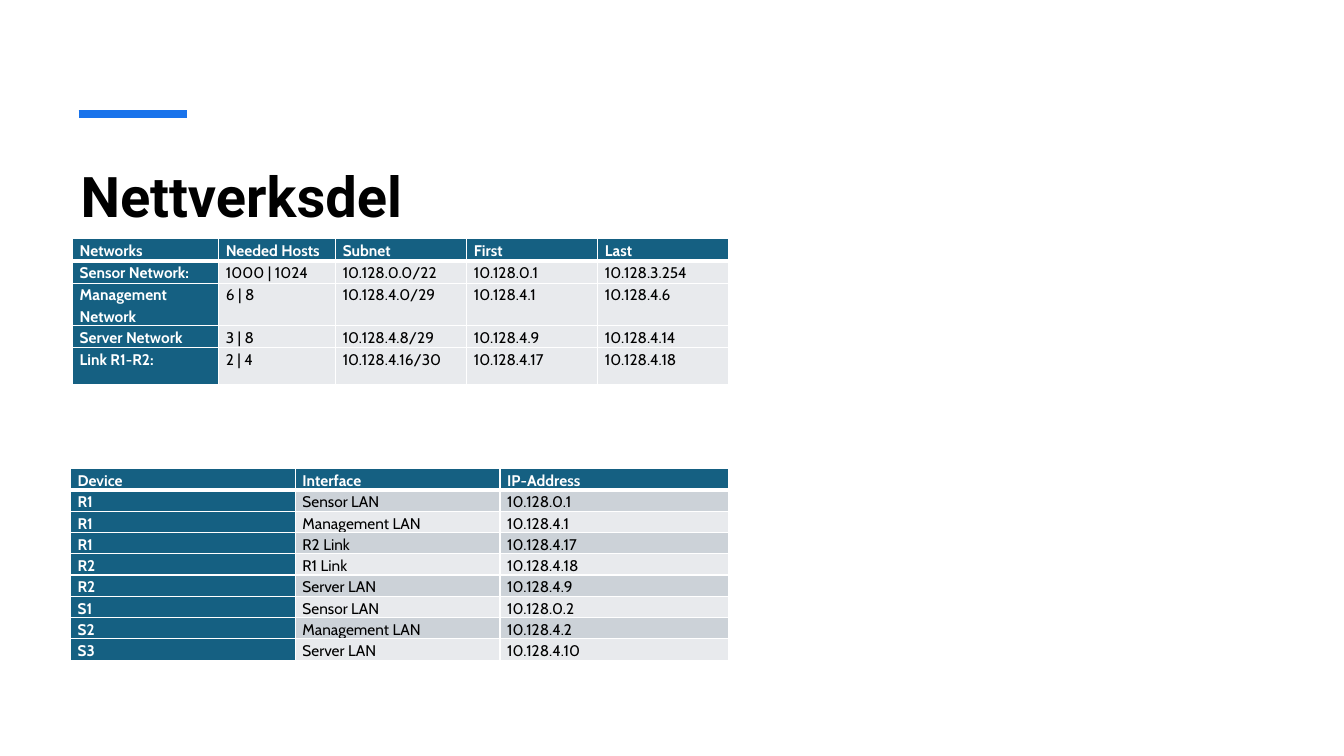
from lxml import etree
from pptx import Presentation
from pptx import util as u
from pptx.dml.color import RGBColor
from pptx.enum import shapes, text
from pptx.oxml.ns import qn

WHITE = RGBColor(0xFF, 0xFF, 0xFF)
BLACK = RGBColor(0x00, 0x00, 0x00)
ACCENT = RGBColor(0x19, 0x73, 0xEB)
TEAL = RGBColor(0x15, 0x60, 0x82)
LIGHT = RGBColor(0xE8, 0xEA, 0xED)
GREY = RGBColor(0xCC, 0xD2, 0xD8)

NETWORKS = [
    ("Networks", "Needed Hosts", "Subnet", "First", "Last"),
    ("Sensor Network:", "1000 | 1024", "10.128.0.0/22", "10.128.0.1", "10.128.3.254"),
    ("Management Network", "6 | 8", "10.128.4.0/29", "10.128.4.1", "10.128.4.6"),
    ("Server Network", "3 | 8", "10.128.4.8/29", "10.128.4.9", "10.128.4.14"),
    ("Link R1-R2:", "2 | 4", "10.128.4.16/30", "10.128.4.17", "10.128.4.18"),
]
DEVICES = [
    ("Device", "Interface", "IP-Address"),
    ("R1", "Sensor LAN", "10.128.0.1"),
    ("R1", "Management LAN", "10.128.4.1"),
    ("R1", "R2 Link", "10.128.4.17"),
    ("R2", "R1 Link", "10.128.4.18"),
    ("R2", "Server LAN", "10.128.4.9"),
    ("S1", "Sensor LAN", "10.128.0.2"),
    ("S2", "Management LAN", "10.128.4.2"),
    ("S3", "Server LAN", "10.128.4.10"),
]


def style_font(font, name, size, color, bold):
    font.name = name
    font.size = u.Pt(size)
    font.color.rgb = color
    font.bold = bold


def add_heading(page, left, top, width, height):
    bar_left, bar_top = left + 0.08, top - 0.37
    bar = page.shapes.add_connector(
        shapes.MSO_CONNECTOR.STRAIGHT,
        u.Inches(bar_left), u.Inches(bar_top),
        u.Inches(bar_left + 1.07), u.Inches(bar_top))
    bar.line.color.rgb = ACCENT
    bar.line.width = u.Pt(6)
    properties = bar.element.find(qn("p:spPr"))
    etree.SubElement(properties, qn("a:effectLst"))

    box = page.shapes.add_textbox(
        u.Inches(left), u.Inches(top), u.Inches(width), u.Inches(height))
    frame = box.text_frame
    frame.word_wrap = True
    frame.vertical_anchor = text.MSO_ANCHOR.TOP
    frame.margin_left = frame.margin_top = u.Inches(0.1)
    frame.text = "Nettverksdel"
    style_font(frame.paragraphs[0].runs[0].font, "Roboto", 40, BLACK, True)


def add_borders(cell, widths):
    properties = cell._tc.get_or_add_tcPr()
    for index, (side, points) in enumerate(widths.items()):
        line = etree.Element(qn(f"a:ln{side}"), w=str(u.Pt(points)))
        fill = etree.SubElement(line, qn("a:solidFill"))
        etree.SubElement(fill, qn("a:srgbClr"), val=str(WHITE))
        properties.insert(index, line)


def add_address_table(page, left, top, records, columns, heights, bands):
    table = page.shapes.add_table(
        len(records), len(columns), u.Inches(left), u.Inches(top),
        u.Inches(sum(columns)), u.Inches(sum(heights))).table
    for column, width in zip(table.columns, columns):
        column.width = u.Inches(width)
    for row, height in zip(table.rows, heights):
        row.height = u.Inches(height)
    for row, record in enumerate(records):
        for column, value in enumerate(record):
            cell = table.cell(row, column)
            label = row == 0 or column == 0
            cell.fill.solid()
            cell.fill.fore_color.rgb = TEAL if label else bands[row % 2]
            cell.margin_left = cell.margin_right = u.Inches(0.07)
            cell.margin_top = cell.margin_bottom = 0
            cell.text = value
            para = cell.text_frame.paragraphs[0]
            para.line_spacing = 1.15
            style_font(para.runs[0].font, "Cabin", 11, WHITE if label else BLACK, label)
            add_borders(cell, {
                "L": 1, "R": 1,
                "T": 3 if row == 1 else 1,
                "B": 3 if row == 0 else 1})


def main():
    deck = Presentation()
    deck.slide_width, deck.slide_height = u.Inches(13.33), u.Inches(7.5)
    page = deck.slides.add_slide(deck.slide_layouts[6])
    add_heading(page, 0.7, 1.5, 11.91, 1.2)
    add_address_table(page, 0.72, 2.37, NETWORKS, [1.45, 1.16] + [1.3] * 3,
                      [0.22] * 4 + [0.36], (LIGHT, LIGHT))
    add_address_table(page, 0.7, 4.65, DEVICES, [2.23, 2.03, 2.27],
                      [0.2] * len(DEVICES), (LIGHT, GREY))
    deck.save("out.pptx")


if __name__ == "__main__":
    main()
